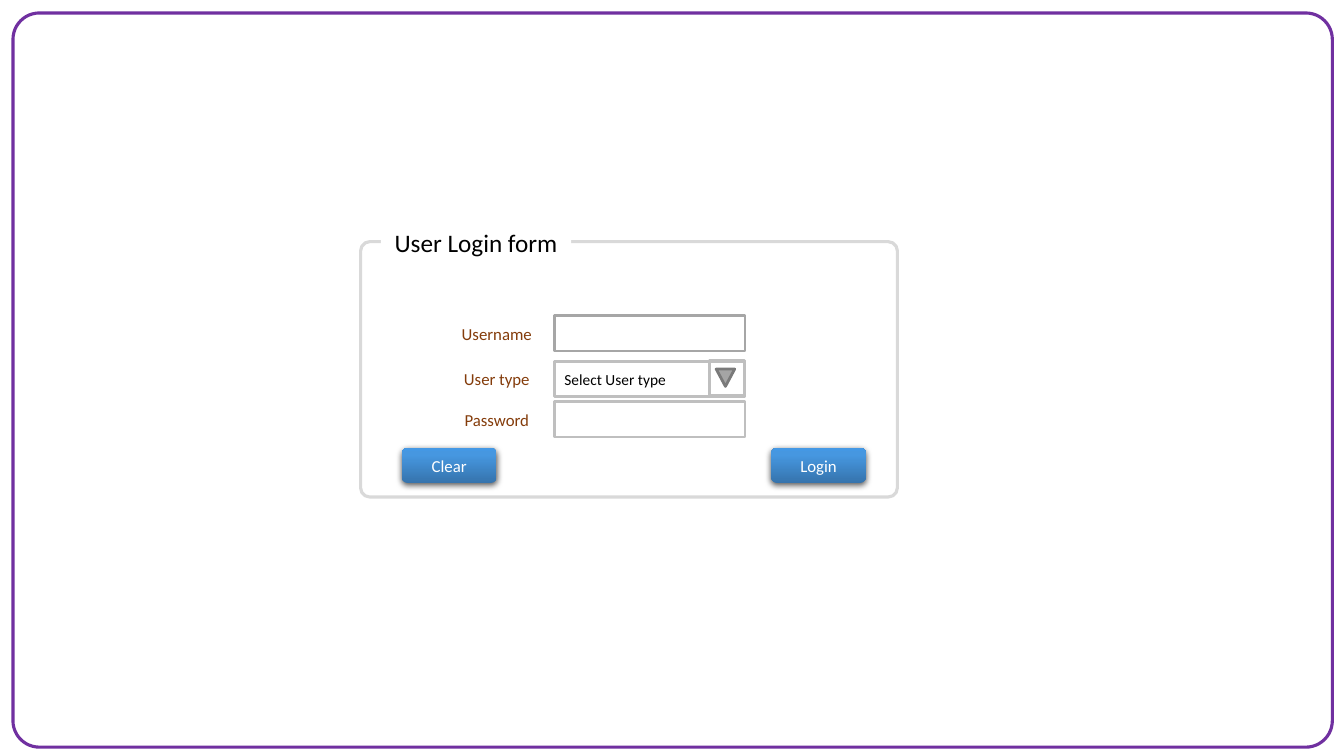
from copy import deepcopy

from lxml.etree import SubElement
from pptx import Presentation
from pptx.dml.color import RGBColor
from pptx.enum.shapes import MSO_SHAPE as SHAPE
from pptx.enum.text import MSO_ANCHOR as ANCHOR, MSO_AUTO_SIZE as AUTO_SIZE, PP_ALIGN as ALIGN
from pptx.oxml import parse_xml
from pptx.oxml.ns import nsdecls
from pptx.util import Pt


def add_box(kind, box, line=None, weight=2, fill=None, radius=None):
    """Add a shadowless shape with an optional fill, outline and corner radius."""
    shape = slide.shapes.add_shape(kind, *map(Pt, box))
    shape.shadow.inherit = False
    if fill:
        shape.fill.solid()
        shape.fill.fore_color.rgb = RGBColor.from_string(fill)
    else:
        shape.fill.background()
    if line:
        shape.line.color.rgb = RGBColor.from_string(line)
        shape.line.width = Pt(weight)
    else:
        shape.line.fill.background()
    if radius:
        shape.adjustments[0] = radius
    return shape


def write(shape, text, size, color, align=ALIGN.CENTER, anchor=ANCHOR.MIDDLE):
    """Put one line of formatted text into a shape."""
    frame = shape.text_frame
    frame.text = text
    frame_format = {"word_wrap": True, "auto_size": AUTO_SIZE.NONE, "vertical_anchor": anchor}
    for name, value in frame_format.items():
        setattr(frame, name, value)
    paragraph = frame.paragraphs[0]
    paragraph.alignment = align
    font = paragraph.runs[0].font
    for name, value in {"name": "Calibri", "size": Pt(size)}.items():
        setattr(font, name, value)
    font.color.rgb = RGBColor.from_string(color)


presentation = Presentation()
presentation.slide_width, presentation.slide_height = Pt(960), Pt(540)
slide = presentation.slides.add_slide(presentation.slide_layouts[5])

add_box(SHAPE.ROUNDED_RECTANGLE, (9.3, 9.3, 942.4, 524.4), "7030A0", 2.24, radius=0.036)
add_box(SHAPE.ROUNDED_RECTANGLE, (257.6, 172.6, 383.4, 182.4), "D9D9D9", 2.24, radius=0.036)

# The heading sits in front of the form outline and interrupts it
heading = slide.shapes.title
slide.shapes.element.append(heading.element)
for name, value in {"left": 272, "top": 158.4, "width": 136, "height": 50.4}.items():
    setattr(heading, name, Pt(value))
heading.fill.solid()
heading.fill.fore_color.rgb = RGBColor.from_string("FFFFFF")
write(heading, "User Login form", 18, "000000", anchor=ANCHOR.TOP)

row_height = 25.2
fields = {}
for label, top, outline in [
    ("Username", 225.5, "A6A6A6"),
    ("User type", 258, "BFBFBF"),
    ("Password", 287, "BFBFBF"),
]:
    caption = slide.shapes.add_textbox(Pt(321.8), Pt(top), Pt(66.2), Pt(row_height))
    write(caption, label, 12, "843C0B")
    fields[label] = add_box(SHAPE.RECTANGLE, (396, top, 136.2, row_height), outline, fill="FFFFFF")

write(fields["User type"], "Select User type", 11, "000000", ALIGN.LEFT)
add_box(SHAPE.FLOWCHART_MERGE, (511.6, 263.6, 13.2, 12.4), "7A7A7A", fill="A5A5A5")
add_box(SHAPE.RECTANGLE, (507, 257.6, 24.8, row_height), "BFBFBF")

for action, left in [("Clear", 287), ("Login", 550.8)]:
    button = add_box(SHAPE.ROUNDED_RECTANGLE, (left, 319.8, 67.8, row_height), radius=0.167)
    write(button, action, 12, "FFFFFF")
    button.fill.gradient()
    button.fill.gradient_angle = 90
    first_stop = button.fill.gradient_stops[0]
    stop_list = button.element.spPr.find(".//{*}gsLst")
    stop_list.append(deepcopy(stop_list[0]))
    shades = [(0, "3674AD"), (0.8, "4697E0"), (1, "4498E4")]
    for stop, (position, shade) in zip(button.fill.gradient_stops, shades):
        stop.position = position
        stop.color.rgb = RGBColor.from_string(shade)
    shadow = parse_xml(
        f'<a:outerShdw {nsdecls("a")} blurRad="{Pt(4.5)}" dist="{Pt(1.5)}" dir="5400000" '
        'rotWithShape="0"><a:srgbClr val="000000"><a:alpha val="63000"/></a:srgbClr></a:outerShdw>'
    )
    button.element.spPr.find("{*}effectLst").append(shadow)

presentation.save("out.pptx")
